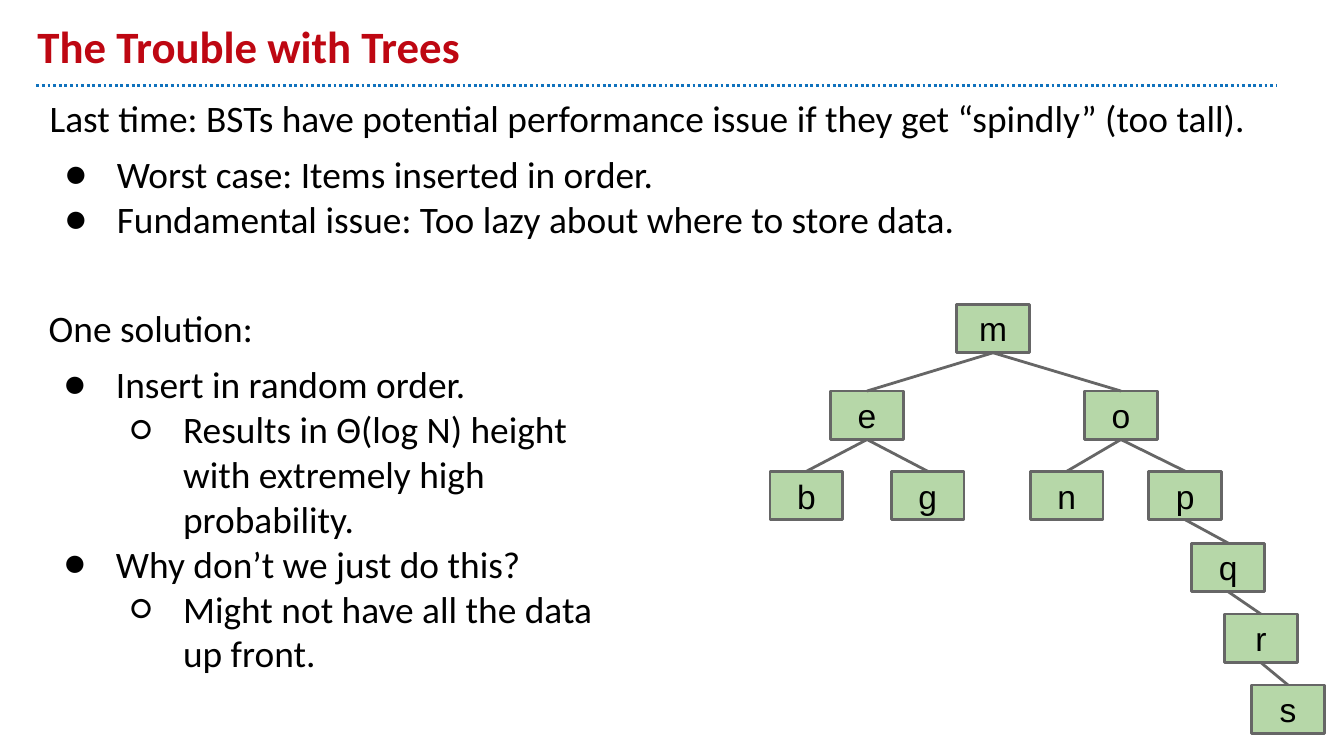
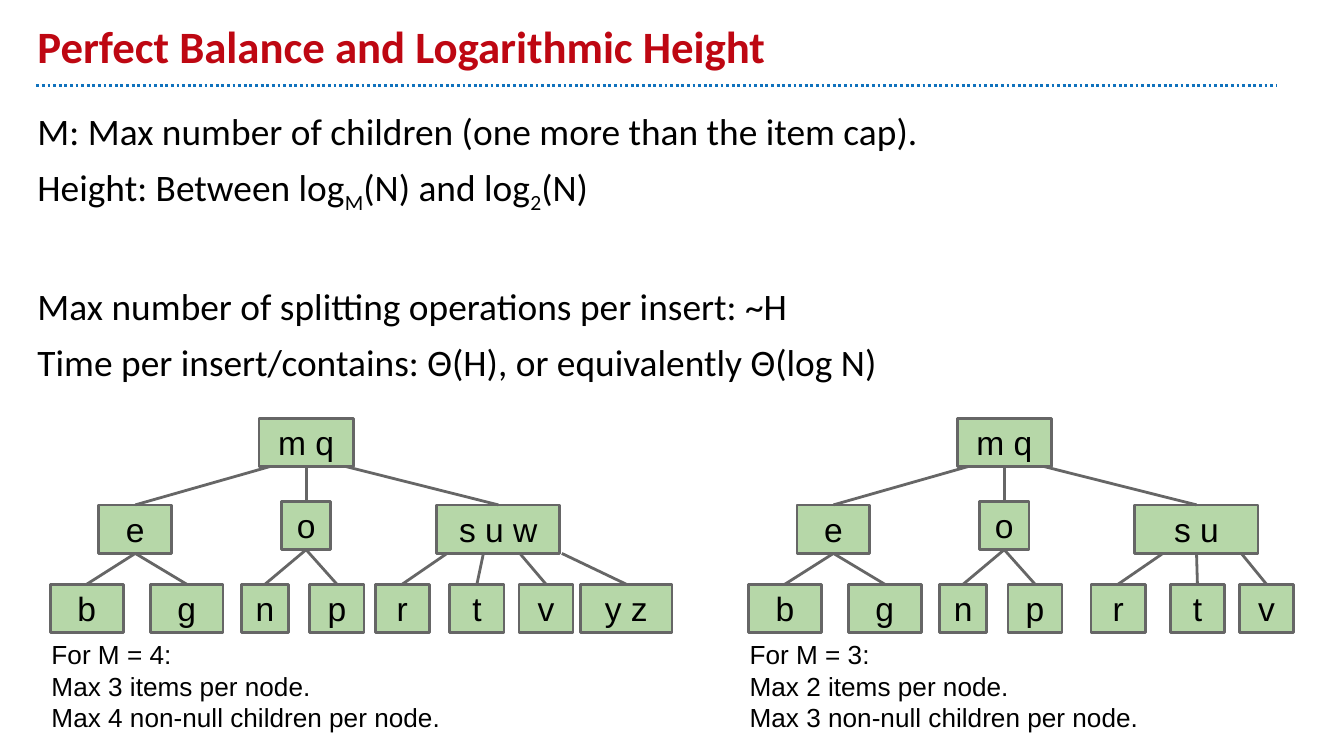
from lxml.etree import SubElement
from pptx import Presentation
from pptx.dml.color import RGBColor
from pptx.enum.dml import MSO_LINE
from pptx.enum.shapes import MSO_CONNECTOR as CONN, MSO_SHAPE as SHAPE
from pptx.enum.text import MSO_ANCHOR as ANCHOR, PP_ALIGN as ALIGN
from pptx.oxml.ns import qn
from pptx.util import Pt

RED = RGBColor(0xBE, 0x07, 0x12)
BLUE = RGBColor(0x10, 0x72, 0xBD)
GREEN = RGBColor(0xB6, 0xD7, 0xA8)
GRAY = RGBColor(0x66, 0x66, 0x66)
BLACK = RGBColor(0, 0, 0)
BULLETS = {1: "●", 2: "○"}
BOTTOM, TOP = 2, 0
NODE_W, NODE_H = 39, 26

# Paragraphs: (bullet level, runs, space before); every second run is a subscript.
TROUBLE = [
    (0, ["Last time: BSTs have potential performance issue if they get “spindly” (too tall)."], 0),
    (1, ["Worst case: Items inserted in order."], 6),
    (1, ["Fundamental issue: Too lazy about where to store data."], 0),
]
SOLUTION = [
    (0, ["One solution:"], 0),
    (1, ["Insert in random order."], 6),
    (2, ["Results in Θ(log N) height with extremely high probability."], 0),
    (1, ["Why don’t we just do this?"], 0),
    (2, ["Might not have all the data up front."], 0),
]
HEIGHT = [
    (0, ["M: Max number of children (one more than the item cap)."], 0),
    (0, ["Height: Between log", "M", "(N) and log", "2", "(N)"], 6),
    (0, ["Max number of splitting operations per insert: ~H"], 36.4),
    (0, ["Time per insert/contains: Θ(H), or equivalently Θ(log N)"], 6),
]

# Trees: rows of (top, [(label, centre x, width)]) and edges (parent, child, exit offset).
BST_ROWS = [
    (163, [("m", 532, NODE_W)]),
    (209.5, [("e", 464.5, NODE_W), ("o", 600.5, NODE_W)]),
    (252.5, [("b", 432, NODE_W), ("g", 497, NODE_W), ("n", 571.5, NODE_W), ("p", 635, NODE_W)]),
    (291, [("q", 658, NODE_W)]),
    (329, [("r", 675.5, NODE_W)]),
    (367, [("s", 690, NODE_W)]),
]
BST_EDGES = [(a, b, 0) for a, b in ("me", "mo", "eb", "eg", "on", "op", "pq", "qr", "rs")]

B_LEAVES = [("b", 46.5, NODE_W), ("g", 100, NODE_W), ("n", 142, 25), ("p", 180.5, 29)]
B_EDGES = [("m q", "e", -19.5), ("m q", "o", 0)] + [
    (a, b, 0) for a, b in ("eb", "eg", "on", "op")]
# (x shift, M, label of the right child, its leaves with exit offsets)
B_TREES = [
    (0, 4, "s u w", [("r", 215.5, 29, -27.5), ("t", 255.5, 29, -8),
                     ("v", 292.5, 29, 11.5), ("y z", 335.5, 49, 34)]),
    (374, 3, "s u", [("r", 225, 29, -18), ("t", 267.5, 29, 0), ("v", 304.5, 29, 24)]),
]


def add_text(s, box, paras, size=20, font="Calibri", color=BLACK, bold=False, anchor=ANCHOR.TOP):
    tf = s.shapes.add_textbox(*map(Pt, box)).text_frame
    tf.word_wrap = True
    tf.vertical_anchor = anchor
    tf.margin_top = tf.margin_bottom = Pt(7.2)
    for i, (level, runs, before) in enumerate(paras):
        p = tf.paragraphs[0] if i == 0 else tf.add_paragraph()
        if before:
            p.space_before = Pt(before)
        if level:
            add_bullet(p, level)
        for j, text in enumerate(runs):
            for k, line in enumerate(text.split("\n")):
                if k:
                    p.add_line_break()
                r = p.add_run()
                r.text = line
                r.font.size, r.font.name, r.font.bold = Pt(size), font, bold
                r.font.color.rgb = color
                if j % 2:
                    r._r.get_or_add_rPr().set("baseline", "-25000")


def add_bullet(p, level):
    p.level = level - 1
    pPr = p._p.get_or_add_pPr()
    pPr.set("marL", str(Pt(36 * level)))
    pPr.set("indent", str(Pt(-28)))
    SubElement(SubElement(pPr, qn("a:buClr")), qn("a:srgbClr"), val=str(BLACK))
    SubElement(pPr, qn("a:buFont"), typeface="Calibri")
    SubElement(pPr, qn("a:buChar"), char=BULLETS[level])


def add_line(shapes, x1, y1, x2, y2, color=GRAY):
    c = shapes.add_connector(CONN.STRAIGHT, Pt(x1), Pt(y1), Pt(x2), Pt(y2))
    c.line.color.rgb = color
    c.line.width = Pt(1.5)
    SubElement(c._element.spPr, qn("a:effectLst"))
    return c


def add_node(shapes, label, x, y, w):
    sp = shapes.add_shape(SHAPE.RECTANGLE, Pt(x - w / 2), Pt(y), Pt(w), Pt(NODE_H))
    sp.shadow.inherit = False
    sp.fill.solid()
    sp.fill.fore_color.rgb = GREEN
    sp.line.color.rgb = GRAY
    sp.line.width = Pt(1.5)
    tf = sp.text_frame
    tf.vertical_anchor = ANCHOR.MIDDLE
    tf.margin_top = tf.margin_bottom = Pt(7.2)
    p = tf.paragraphs[0]
    p.alignment = ALIGN.CENTER
    r = p.add_run()
    r.text = label
    r.font.size, r.font.name = Pt(18), "Arial"
    r.font.color.rgb = BLACK
    return sp


def add_tree(shapes, rows, edges, shift=0):
    nodes = {}
    for y, row in rows:
        for label, x, w in row:
            nodes[label] = add_node(shapes, label, x + shift, y, w), x + shift, y
    for parent, child, offset in edges:
        sp1, x1, y1 = nodes[parent]
        sp2, x2, y2 = nodes[child]
        c = add_line(shapes, x1 + offset, y1 + NODE_H, x2, y2)
        if not offset:
            c.begin_connect(sp1, BOTTOM)
        c.end_connect(sp2, TOP)


def add_slide(prs, title):
    s = prs.slides.add_slide(prs.slide_layouts[6])
    add_line(s.shapes, 19.5, 46, 684, 46, BLUE).line.dash_style = MSO_LINE.ROUND_DOT
    add_text(s, (13, 7, 648, 39), [(0, [title], 0)], 24, color=RED, bold=True,
             anchor=ANCHOR.BOTTOM)
    return s


def main():
    prs = Presentation()
    prs.slide_width, prs.slide_height = Pt(720), Pt(405)

    s = add_slide(prs, "The Trouble with Trees")
    add_text(s, (19.5, 44, 664.5, 119), TROUBLE)
    add_tree(s.shapes, BST_ROWS, BST_EDGES)
    add_text(s, (19, 156.5, 314.5, 209), SOLUTION)

    s = add_slide(prs, "Perfect Balance and Logarithmic Height")
    add_text(s, (13, 50.5, 664.5, 173.5), HEIGHT)
    for shift, m, right, leaves in B_TREES:
        caption = [(0, [f"For M = {m}:\nMax {m - 1} items per node."], 0),
                   (0, [f"Max {m} non-null children per node."], 0)]
        add_text(s, (20.5 + shift, 335, 226, 70), caption, 14, "Arial")
        rows = [
            (224, [("m q", 164, 50.5)]),
            (270.5, [("e", 72.5, NODE_W), (right, 267, 66)]),
            (268.5, [("o", 164, 26.5)]),
            (313, B_LEAVES + [leaf[:3] for leaf in leaves]),
        ]
        edges = B_EDGES + [("m q", right, 21.5)] + [
            (right, label, offset) for label, _, _, offset in leaves]
        add_tree(s.shapes.add_group_shape().shapes, rows, edges, shift)

    prs.save("out.pptx")


if __name__ == "__main__":
    main()
